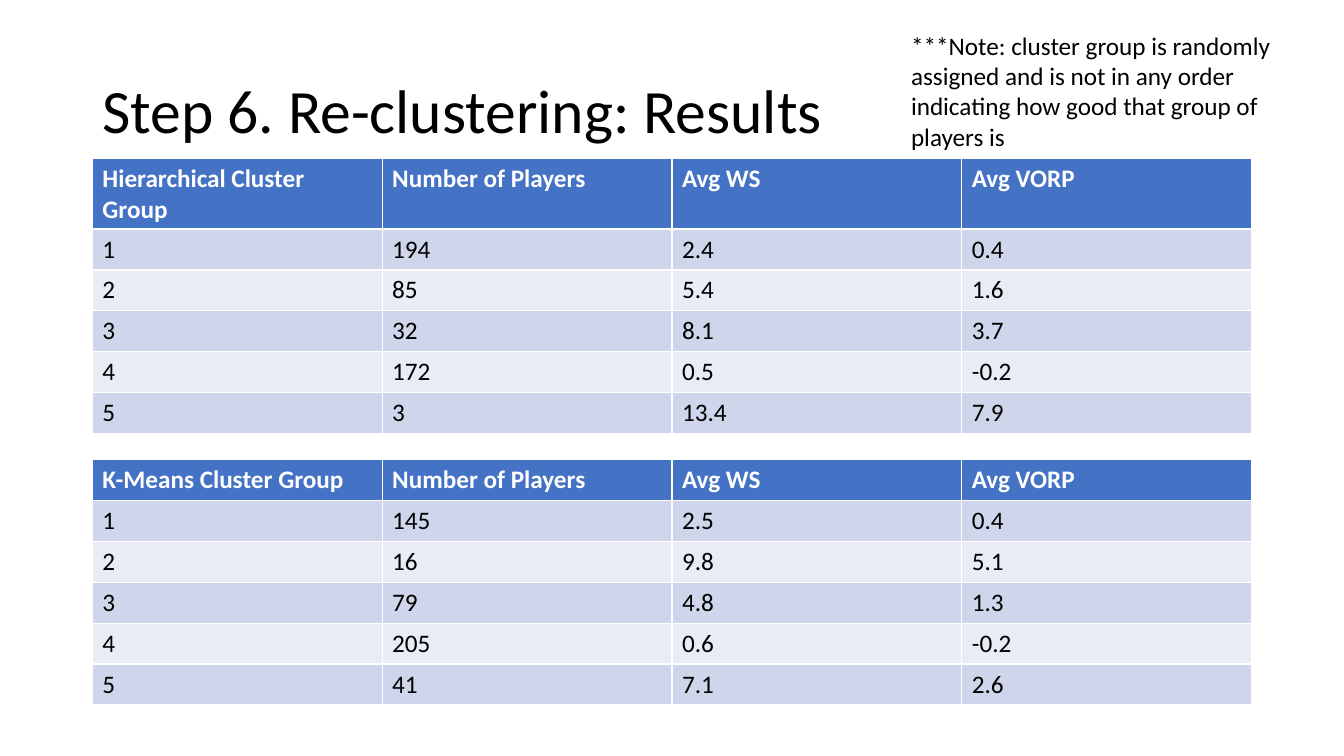
from dataclasses import dataclass

from pptx import Presentation
from pptx.dml.color import RGBColor
from pptx.enum.text import MSO_ANCHOR as Anchor
from pptx.slide import Slide
from pptx.text.text import _Paragraph as Paragraph
from pptx.util import Pt

FONT = "Calibri"
BLACK = RGBColor(0x00, 0x00, 0x00)
WHITE = RGBColor(0xFF, 0xFF, 0xFF)
HEADER_BLUE = RGBColor(0x44, 0x72, 0xC4)
BAND_DARK = RGBColor(0xCF, 0xD5, 0xEA)
BAND_LIGHT = RGBColor(0xE9, 0xEB, 0xF5)

LEFT, WIDTH = 66, 828
ROW_HEIGHT = 29.2
MEASURES = ("Number of Players", "Avg WS", "Avg VORP")


@dataclass(frozen=True)
class Label:
    text: str
    left: float
    top: float
    width: float
    height: float
    size: float
    anchor: Anchor = Anchor.TOP
    line_spacing: float = 1.0


@dataclass(frozen=True)
class ClusterTable:
    method: str
    top: float
    groups: tuple[tuple[str, str, str], ...]


LABELS = (
    Label("Step 6. Re-clustering: Results", LEFT, 28.8, WIDTH, 104.4, 44, Anchor.MIDDLE, 0.9),
    Label("***Note: cluster group is randomly assigned and is not in any order "
          "indicating how good that group of players is", 643.7, 18, 300.2, 94.3, 18),
)

TABLES = (
    ClusterTable("Hierarchical", 113.2, (
        ("194", "2.4", "0.4"),
        ("85", "5.4", "1.6"),
        ("32", "8.1", "3.7"),
        ("172", "0.5", "-0.2"),
        ("3", "13.4", "7.9"),
    )),
    ClusterTable("K-Means", 328.3, (
        ("145", "2.5", "0.4"),
        ("16", "9.8", "5.1"),
        ("79", "4.8", "1.3"),
        ("205", "0.6", "-0.2"),
        ("41", "7.1", "2.6"),
    )),
)


def style(paragraph: Paragraph, size: float, color: RGBColor, bold: bool = False) -> None:
    font = paragraph.font
    font.name, font.size, font.bold = FONT, Pt(size), bold
    font.color.rgb = color


def add_label(page: Slide, label: Label) -> None:
    box = page.shapes.add_textbox(
        Pt(label.left), Pt(label.top), Pt(label.width), Pt(label.height))
    frame = box.text_frame
    frame.word_wrap = True
    frame.vertical_anchor = label.anchor
    paragraph = frame.paragraphs[0]
    paragraph.text = label.text
    paragraph.line_spacing = label.line_spacing
    style(paragraph, label.size, BLACK)


def add_cluster_table(page: Slide, cluster: ClusterTable) -> None:
    header = (f"{cluster.method} Cluster Group", *MEASURES)
    rows = [header] + [(str(number), *values)
                       for number, values in enumerate(cluster.groups, start=1)]
    # The default table style supplies the white rules between cells
    table = page.shapes.add_table(
        len(rows), len(header), Pt(LEFT), Pt(cluster.top),
        Pt(WIDTH), Pt(ROW_HEIGHT * len(rows))).table
    for row_index, values in enumerate(rows):
        is_header = row_index == 0
        band = BAND_DARK if row_index % 2 else BAND_LIGHT
        for column_index, value in enumerate(values):
            cell = table.cell(row_index, column_index)
            cell.fill.solid()
            cell.fill.fore_color.rgb = HEADER_BLUE if is_header else band
            paragraph = cell.text_frame.paragraphs[0]
            paragraph.text = value
            style(paragraph, 18, WHITE if is_header else BLACK, bold=is_header)


def main() -> None:
    deck = Presentation()
    deck.slide_width, deck.slide_height = Pt(960), Pt(540)
    page = deck.slides.add_slide(deck.slide_layouts[6])

    # Title and note
    for label in LABELS:
        add_label(page, label)

    # Results of both clustering methods
    for cluster in TABLES:
        add_cluster_table(page, cluster)

    deck.save("out.pptx")


if __name__ == "__main__":
    main()
